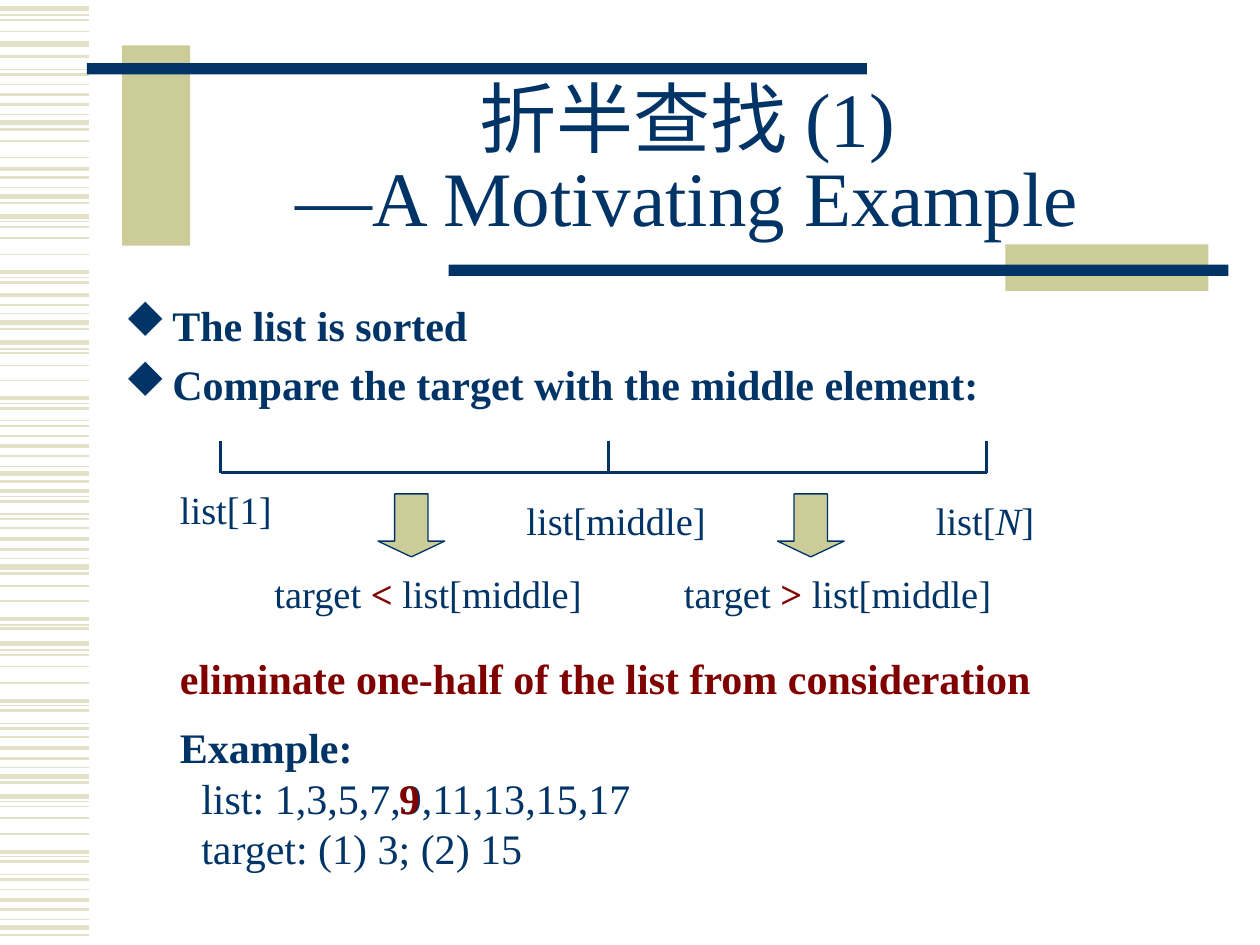
from dataclasses import dataclass

from lxml import etree
from pptx import Presentation
from pptx.dml.color import RGBColor
from pptx.enum.shapes import MSO_CONNECTOR, MSO_SHAPE
from pptx.enum.text import MSO_ANCHOR, PP_ALIGN
from pptx.oxml.ns import qn
from pptx.util import Inches, Pt

STRAIGHT = MSO_CONNECTOR.STRAIGHT
RECTANGLE, DOWN_ARROW = MSO_SHAPE.RECTANGLE, MSO_SHAPE.DOWN_ARROW
TOP, MIDDLE = MSO_ANCHOR.TOP, MSO_ANCHOR.MIDDLE
LEFT, CENTER = PP_ALIGN.LEFT, PP_ALIGN.CENTER

NAVY, KHAKI, PALE, MAROON = "003366", "CCCC99", "E3E2C7", "800000"
FONT, BULLET_FONT, DIAMOND = "Times New Roman", "Wingdings", "u"

STRIPES = {
    0.75: [0.12, 0.55, 0.91, 1.49, 1.76, 2.2, 2.49, 2.77, 3.2, 3.34, 3.7, 3.94, 4.08,
           4.43, 4.96, 5.16, 5.6, 5.74, 6.09, 6.36, 6.8, 6.94, 7.3],
    1: [0.16, 0.25, 0.67, 1.12, 1.25, 1.8, 1.89, 2.02, 2.8, 2.9, 3.02, 3.46, 4.19,
        4.65, 4.77, 5.2, 5.29, 5.42, 5.85, 6.4, 6.49, 6.62, 7.06],
    1.5: [0.45, 0.59, 0.83, 1.03, 1.41, 1.61, 2.24, 2.42, 2.61, 3.24, 3.38, 3.62, 3.82,
          3.98, 4.12, 4.36, 4.55, 4.99, 5.64, 5.78, 6.02, 6.21, 6.84, 6.98, 7.22, 7.42],
    2.25: [0.75, 1.34, 2.16, 2.34, 3.16, 3.54, 3.9, 4.28, 4.91, 5.56, 5.94, 6.76, 7.14],
    3: [0.07, 0.35, 0.97, 1.56, 1.72, 2.56, 2.72, 3.76, 4.5, 5.11, 6.16, 6.32, 7.36],
}


@dataclass(frozen=True)
class Span:
    text: str
    color: str = NAVY
    bold: bool = False
    italic: bool = False


@dataclass(frozen=True)
class Line:
    spans: list[Span]
    indent: float = 0
    bullet: bool = False
    space_before: float = 0
    spacing: float = 1


@dataclass(frozen=True)
class Block:
    left: float
    top: float
    width: float
    height: float
    lines: list[Line]
    size: float = 22
    anchor: MSO_ANCHOR = MIDDLE
    align: PP_ALIGN = LEFT
    wrap: bool = False


@dataclass(frozen=True)
class Figure:
    preset: MSO_SHAPE
    left: float
    top: float
    width: float
    height: float
    fill: str
    outlined: bool = False


def rgb(value: str) -> RGBColor:
    return RGBColor.from_string(value)


def draw_line(slide, x1: float, y1: float, x2: float, y2: float, color: str, weight: float) -> None:
    rule = slide.shapes.add_connector(STRAIGHT, Inches(x1), Inches(y1), Inches(x2), Inches(y2))
    rule.line.color.rgb = rgb(color)
    rule.line.width = Pt(weight)
    etree.SubElement(rule._element.spPr, qn("a:effectLst"))


def draw_figure(slide, figure: Figure) -> None:
    shape = slide.shapes.add_shape(figure.preset, Inches(figure.left), Inches(figure.top),
                                   Inches(figure.width), Inches(figure.height))
    shape.shadow.inherit = False
    shape.fill.solid()
    shape.fill.fore_color.rgb = rgb(figure.fill)
    if figure.outlined:
        shape.line.color.rgb = rgb(NAVY)
        shape.line.width = Pt(0.75)
        shape.adjustments[0], shape.adjustments[1] = 0.5, 0.25
    else:
        shape.line.fill.background()


def indent_paragraph(paragraph, line: Line) -> None:
    properties = paragraph._p.get_or_add_pPr()
    properties.set("marL", str(Inches(line.indent)))
    if line.bullet:
        properties.set("indent", str(-Inches(line.indent)))
        bullet_color = etree.SubElement(properties, qn("a:buClr"))
        etree.SubElement(bullet_color, qn("a:srgbClr"), val=NAVY)
        etree.SubElement(properties, qn("a:buFont"), typeface=BULLET_FONT, charset="2")
        etree.SubElement(properties, qn("a:buChar"), char=DIAMOND)


def style_run(run, span: Span, size: float) -> None:
    run.font.name = FONT
    run.font.size = Pt(size)
    run.font.bold = span.bold
    run.font.italic = span.italic
    run.font.color.rgb = rgb(span.color)


def draw_block(slide, block: Block) -> None:
    box = slide.shapes.add_textbox(Inches(block.left), Inches(block.top),
                                   Inches(block.width), Inches(block.height))
    frame = box.text_frame
    frame.word_wrap = block.wrap
    frame.vertical_anchor = block.anchor
    frame.text = "\n".join("" for _ in block.lines)
    for paragraph, line in zip(frame.paragraphs, block.lines):
        indent_paragraph(paragraph, line)
        paragraph.alignment = block.align
        paragraph.line_spacing = line.spacing
        paragraph.space_before = Pt(line.space_before)
        for index, span in enumerate(line.spans):
            for part, piece in enumerate(span.text.split("\v")):
                if part:
                    paragraph.add_line_break()
                run = paragraph.add_run()
                run.text = piece
                style_run(run, span, block.size)


def comparison(left: float, sign: str) -> Block:
    spans = [Span("target "), Span(sign, MAROON, bold=True), Span(" list[middle]")]
    return Block(left, 4.5, 2.75, 0.42, [Line(spans)])


FIGURES = [
    Figure(RECTANGLE, 0.97, 0.36, 0.54, 1.59, KHAKI),
    Figure(RECTANGLE, 0.69, 0.5, 6.19, 0.09, NAVY),
    Figure(RECTANGLE, 7.98, 1.94, 1.61, 0.37, KHAKI),
    Figure(RECTANGLE, 3.56, 2.1, 6.19, 0.09, NAVY),
    Figure(DOWN_ARROW, 3, 3.92, 0.53, 0.5, KHAKI, outlined=True),
    Figure(DOWN_ARROW, 6.17, 3.92, 0.53, 0.5, KHAKI, outlined=True),
]

BLOCKS = [
    Block(1.33, 0.67, 8.25, 1.25, [Line([Span("折半查找 (1)\v—A Motivating Example")], spacing=0.85)],
          size=44, align=CENTER, wrap=True),
    Block(0.89, 2.33, 8.7, 1.1, [
        Line([Span("The list is sorted", bold=True)], 0.38, True),
        Line([Span("Compare the target with the middle element:", bold=True)], 0.38, True, 5),
    ], size=24, anchor=TOP, wrap=True),
    Block(1.33, 3.83, 1.05, 0.42, [Line([Span("list[1]")])]),
    Block(7.33, 3.92, 1.1, 0.42, [Line([Span("list["), Span("N", italic=True), Span("]")])]),
    Block(4.08, 3.92, 1.75, 0.42, [Line([Span("list[middle]")])]),
    comparison(2.08, "<"),
    comparison(5.33, ">"),
    Block(1.33, 5.17, 7.15, 0.42,
          [Line([Span("eliminate one-half of the list from consideration", MAROON, True)])], size=24),
    Block(1.33, 5.83, 6.83, 1, [
        Line([Span("Example:", bold=True)]),
        Line([Span("list: 1,3,5,7,9,11,13,15,17")], 0.17),
        Line([Span("target: (1) 3; (2) 15")], 0.17),
    ], size=24),
    Block(3.07, 6.08, 0.4, 0.5, [Line([Span("9", MAROON, True)])], size=24),
]


def main() -> None:
    presentation = Presentation()
    presentation.slide_width, presentation.slide_height = Inches(10), Inches(7.5)
    slide = presentation.slides.add_slide(presentation.slide_layouts[6])
    for weight, heights in STRIPES.items():
        for y in heights:
            draw_line(slide, 0, y, 0.71, y, PALE, weight)
    for figure in FIGURES:
        draw_figure(slide, figure)
    draw_line(slide, 1.75, 3.75, 7.83, 3.75, NAVY, 1.25)
    for x in (1.75, 4.83, 7.83):
        draw_line(slide, x, 3.5, x, 3.75, NAVY, 1.25)
    for block in BLOCKS:
        draw_block(slide, block)
    presentation.save("out.pptx")


if __name__ == "__main__":
    main()
